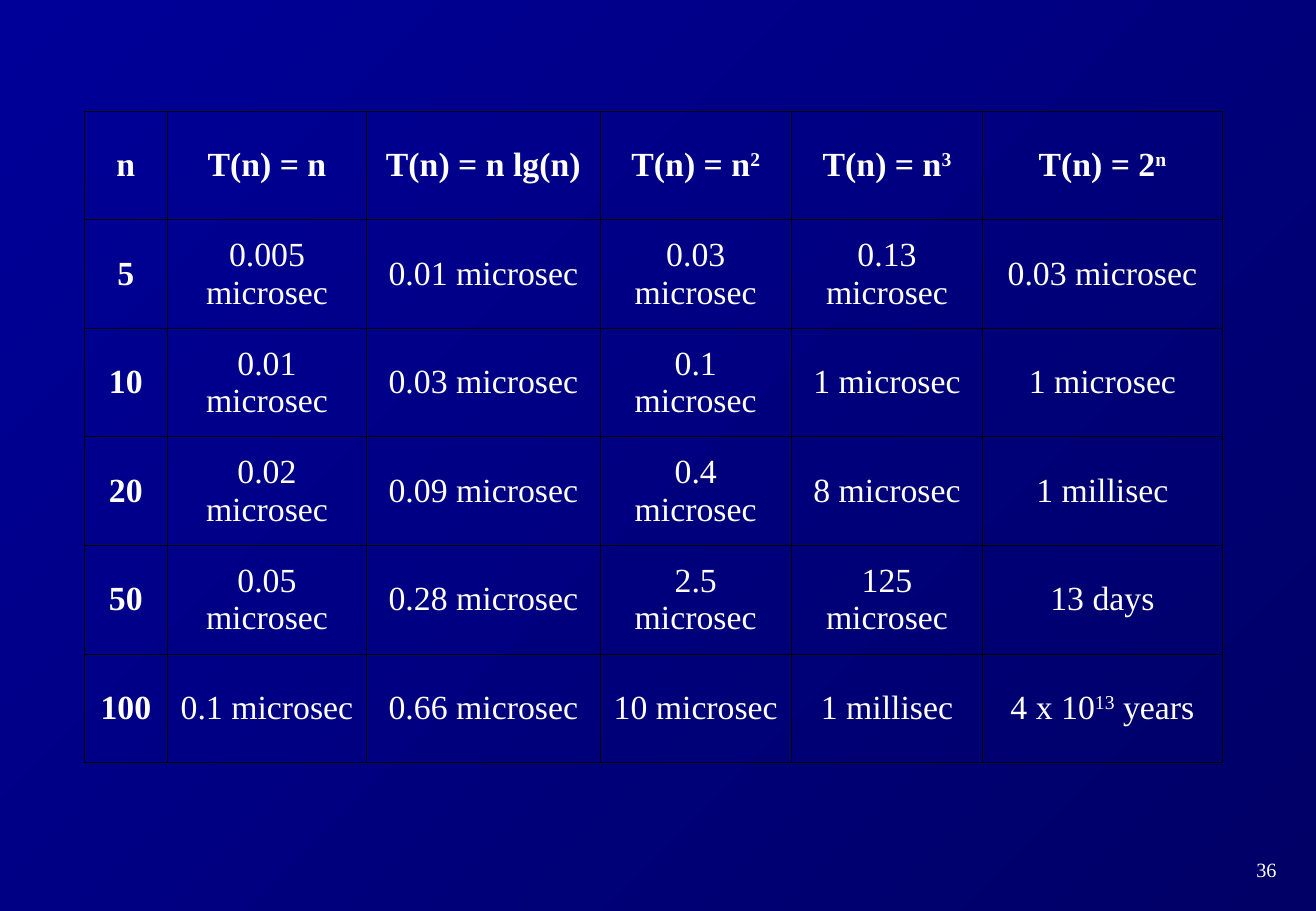
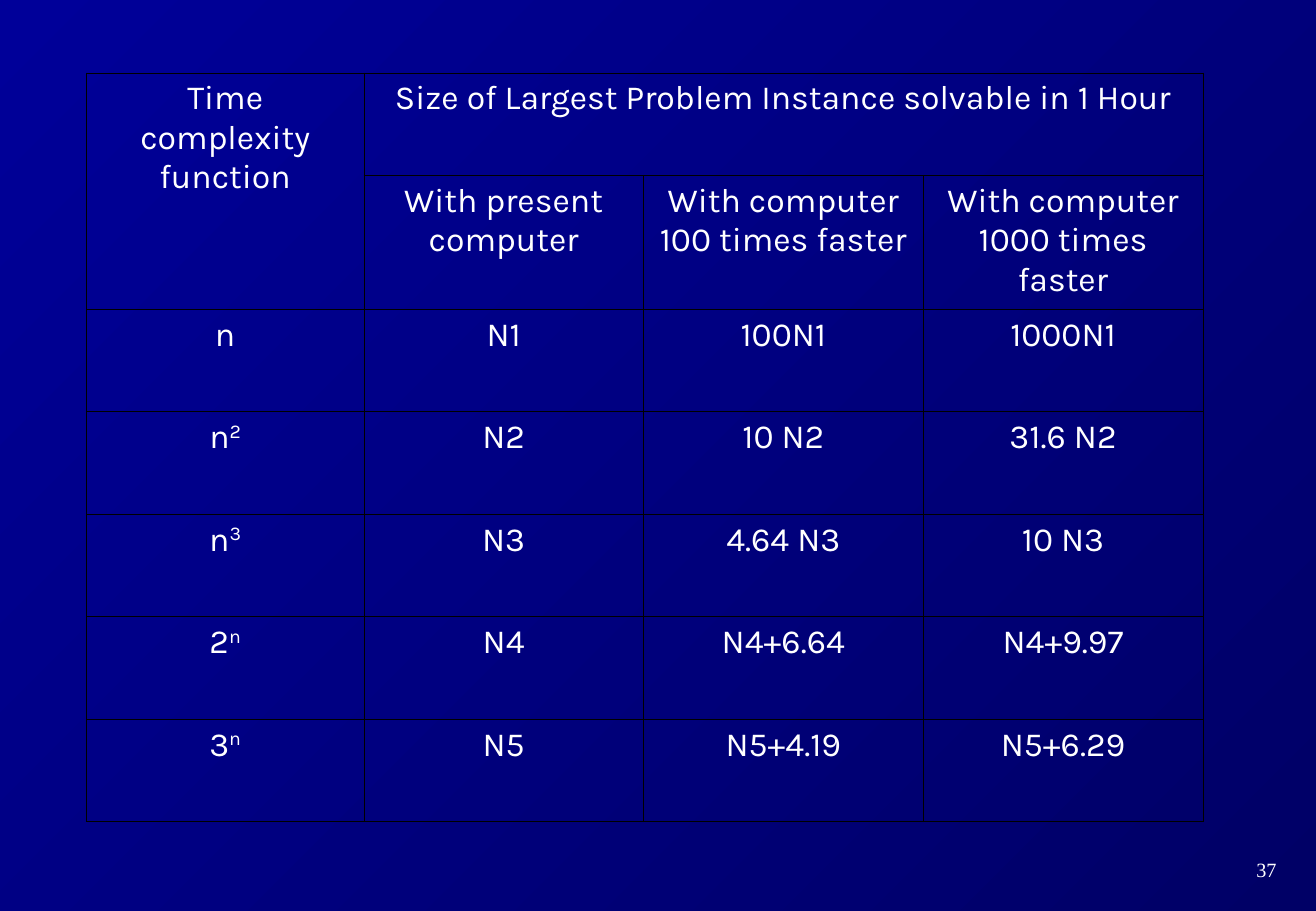
import lxml.etree
import pptx
import pptx.dml.color
import pptx.enum.text
import pptx.oxml.ns
import pptx.util

Pt = pptx.util.Pt
ANCHOR = pptx.enum.text.MSO_ANCHOR
CENTER = pptx.enum.text.PP_ALIGN.CENTER

SLIDE_WIDTH, SLIDE_HEIGHT = 780.13, 540
DARK_BLUE, BRIGHT_BLUE = "000066", "000099"
TEXT_COLOR, GRID_COLOR = "FFFFFF", "000000"
GRID_LINE_WIDTH = 0.34
SERIF, SANS = "Times New Roman", "Karla"
TABLE_TEXT_SIZE = 20
PAGE_NUMBER_BOX = (721.5, 504.5, 58.5, 21.5)

RUNNING_TIMES = [
    ["n", "T(n) = n", "T(n) = n lg(n)", "T(n) = n^2", "T(n) = n^3", "T(n) = 2^n"],
    ["5", "0.005 microsec", "0.01 microsec", "0.03 microsec", "0.13 microsec", "0.03 microsec"],
    ["10", "0.01 microsec", "0.03 microsec", "0.1 microsec", "1 microsec", "1 microsec"],
    ["20", "0.02 microsec", "0.09 microsec", "0.4 microsec", "8 microsec", "1 millisec"],
    ["50", "0.05 microsec", "0.28 microsec", "2.5 microsec", "125 microsec", "13 days"],
    ["100", "0.1 microsec", "0.66 microsec", "10 microsec", "1 millisec", "4 x 10^13^ years"],
]

PROBLEM_SIZES = [
    ["Time complexity function", "Size of Largest Problem Instance solvable in 1 Hour", None, None],
    [None, "With present computer", "With computer 100 times faster",
     "With computer 1000 times faster"],
    ["n", "N1", "100N1", "1000N1"],
    ["n^2", "N2", "10 N2", "31.6 N2"],
    ["n^3", "N3", "4.64 N3", "10 N3"],
    ["2^n", "N4", "N4+6.64", "N4+9.97"],
    ["3^n", "N5", "N5+4.19", "N5+6.29"],
]


def color(hex_string):
    return pptx.dml.color.RGBColor.from_string(hex_string)


def write_text(text_frame, text, font_name, size, bold=False):
    """Write one centred paragraph; every second part between ^ marks is superscript."""
    paragraph = text_frame.paragraphs[0]
    paragraph.alignment = CENTER
    for index, part in enumerate(text.split("^")):
        run = paragraph.add_run()
        run.text = part
        run.font.name = font_name
        run.font.size = Pt(size)
        run.font.bold = bold
        run.font.color.rgb = color(TEXT_COLOR)
        if index % 2:
            run._r.get_or_add_rPr().set("baseline", "30000")


def set_cell_borders(cell):
    properties = cell._tc.get_or_add_tcPr()
    qualified = pptx.oxml.ns.qn
    for side in ("a:lnL", "a:lnR", "a:lnT", "a:lnB"):
        line = lxml.etree.SubElement(properties, qualified(side), w=str(Pt(GRID_LINE_WIDTH)))
        fill = lxml.etree.SubElement(line, qualified("a:solidFill"))
        lxml.etree.SubElement(fill, qualified("a:srgbClr"), val=GRID_COLOR)


def add_grid(slide, left, top, widths, heights, rows, font_name, anchor,
             bold_headers=False, merges=()):
    """Add a see-through table; None marks a cell covered by a merge."""
    table = slide.shapes.add_table(len(heights), len(widths), Pt(left), Pt(top),
                                   Pt(sum(widths)), Pt(sum(heights))).table
    table.first_row = table.horz_banding = False
    for column, width in zip(table.columns, widths):
        column.width = Pt(width)
    for row, height in zip(table.rows, heights):
        row.height = Pt(height)
    for first, last in merges:
        table.cell(*first).merge(table.cell(*last))
    for row_index, texts in enumerate(rows):
        for column_index, text in enumerate(texts):
            cell = table.cell(row_index, column_index)
            set_cell_borders(cell)
            cell.fill.background()
            cell.vertical_anchor = anchor
            if text is not None:
                is_header = row_index == 0 or column_index == 0
                write_text(cell.text_frame, text, font_name, TABLE_TEXT_SIZE,
                           bold_headers and is_header)


def add_page_number(slide, number):
    box = slide.shapes.add_textbox(*map(Pt, PAGE_NUMBER_BOX))
    box.text_frame.word_wrap = True
    box.text_frame.vertical_anchor = ANCHOR.MIDDLE
    write_text(box.text_frame, str(number), SERIF, 12)


def set_background(master):
    fill = master.background.fill
    fill.gradient()
    fill.gradient_angle = 135
    for stop, shade in zip(fill.gradient_stops, (DARK_BLUE, BRIGHT_BLUE)):
        stop.color.rgb = color(shade)


def add_numbered_slide(presentation, number):
    slide = presentation.slides.add_slide(presentation.slide_layouts[6])
    add_page_number(slide, number)
    return slide


def add_running_times_slide(presentation):
    slide = add_numbered_slide(presentation, 36)
    add_grid(slide, 50, 65.8, [49.2, 118.2, 138.4, 113.4, 113.4, 142], [64.35] * 6,
             RUNNING_TIMES, SERIF, ANCHOR.MIDDLE, bold_headers=True)


def add_problem_sizes_slide(presentation):
    slide = add_numbered_slide(presentation, 37)
    add_grid(slide, 51.3, 43.2, [164.4] + [165.8] * 3, [60.75, 79.2] + [60.75] * 5,
             PROBLEM_SIZES, SANS, ANCHOR.TOP,
             merges=[((0, 0), (1, 0)), ((0, 1), (0, 3))])


def main():
    presentation = pptx.Presentation()
    presentation.slide_width = Pt(SLIDE_WIDTH)
    presentation.slide_height = Pt(SLIDE_HEIGHT)
    set_background(presentation.slide_master)
    add_running_times_slide(presentation)
    add_problem_sizes_slide(presentation)
    presentation.save("out.pptx")


if __name__ == "__main__":
    main()
